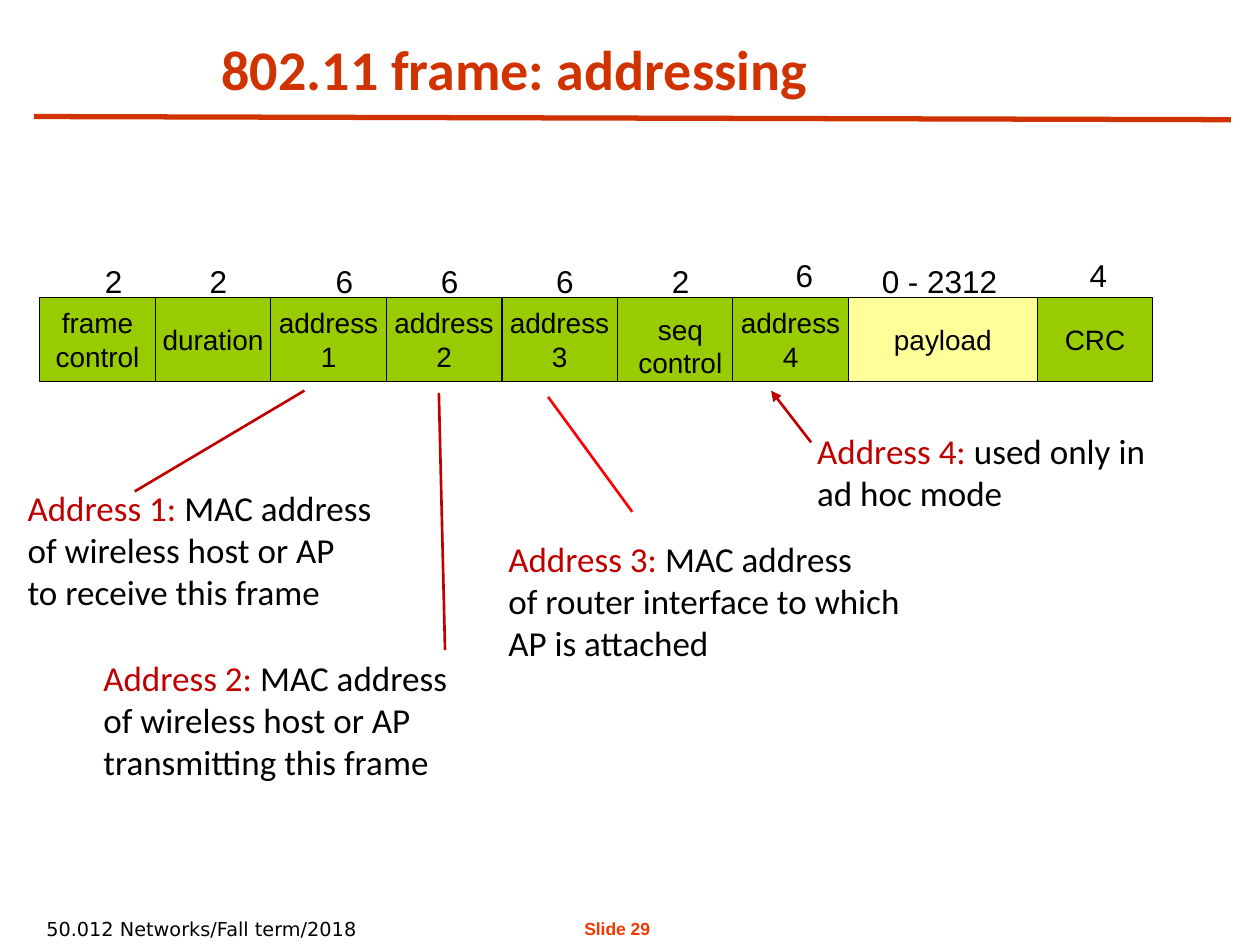
import pptx
import pptx.util
import pptx.dml.color
import pptx.enum.shapes
import pptx.enum.text
import pptx.oxml

Pt = pptx.util.Pt
align = pptx.enum.text.PP_ALIGN
anchor = pptx.enum.text.MSO_ANCHOR
kinds = pptx.enum.shapes


def hue(code):
    return pptx.dml.color.RGBColor.from_string(code)


def write(frame, lines, form, side=align.LEFT, wrap=True, mid=anchor.TOP):
    frame.word_wrap = wrap
    frame.vertical_anchor = mid
    for row, runs in enumerate(lines):
        para = frame.paragraphs[0] if row == 0 else frame.add_paragraph()
        para.alignment = side
        for text, tint in runs:
            run = para.add_run()
            run.text = text
            run.font.color.rgb = hue(tint)
            for key, value in form.items():
                setattr(run.font, key, value)


black, red, rust, green = "000000", "C00000", "D03200", "99CC00"
label = {"name": "Arial", "size": Pt(16)}
count = {"name": "Arial", "size": Pt(18)}
note = {"name": "Calibri", "size": Pt(20)}
head = {"name": "Calibri", "size": Pt(32), "bold": True}
foot = {"name": "DejaVu Sans", "size": Pt(11)}
page = {"name": "Arial", "size": Pt(10), "bold": True}

deck = pptx.Presentation()
deck.slide_width, deck.slide_height = Pt(720), Pt(540)
slide = deck.slides.add_slide(deck.slide_layouts[5])
shapes = slide.shapes

title = shapes.title
place = {"left": 41.8, "top": 12.2, "width": 504.7, "height": 49.7}
for key, value in place.items():
    setattr(title, key, Pt(value))
write(title.text_frame, [[("802.11 frame: addressing", rust)]], head,
      align.CENTER, True, anchor.BOTTOM)

fields = [
    ("frame\ncontrol", 66, green),
    ("duration", 66, green),
    ("address\n1", 66, green),
    ("address\n2", 66, green),
    ("address\n3", 66, green),
    ("", 66, green),
    ("address\n4", 66, green),
    ("payload", 108, "FFFF99"),
    ("CRC", 66, green),
]
left = 22.8
for text, width, tint in fields:
    cell = shapes.add_shape(kinds.MSO_SHAPE.RECTANGLE,
                            Pt(left), Pt(170), Pt(width), Pt(48))
    cell.shadow.inherit = False
    cell.fill.solid()
    cell.fill.fore_color.rgb = hue(tint)
    cell.line.color.rgb = hue(black)
    cell.line.width = Pt(0.75)
    if text:
        write(cell.text_frame, [[(line, black)] for line in text.split("\n")],
              label, align.CENTER, False, anchor.MIDDLE)
    left += width

sizes = [
    ("2", 52.8, 146.4, 25),
    ("2", 112.8, 146.4, 25),
    ("6", 184.8, 146.4, 25),
    ("6", 244.8, 146.4, 25),
    ("6", 310.8, 146.4, 25),
    ("2", 376.8, 146.4, 25),
    ("6", 447.6, 142.6, 25),
    ("0 - 2312", 496.8, 146.4, 86),
    ("4", 615.6, 142.6, 25),
]
for text, left, top, width in sizes:
    box = shapes.add_textbox(Pt(left), Pt(top), Pt(width), Pt(29))
    write(box.text_frame, [[(text, black)]], count)

notes = [
    ("1", ["MAC address", "of wireless host or AP", "to receive this frame"],
     8.7, 274.5, 241, 79),
    ("2", ["MAC address", "of wireless host or AP", "transmitting this frame"],
     52, 371.5, 241, 79),
    ("3", ["MAC address", "of router interface to which AP is attached"],
     283.4, 303.3, 240.5, 104),
    ("4", ["used only in ad hoc mode"], 459.9, 241.9, 205, 55.5),
]
for digit, lines, left, top, width, height in notes:
    box = shapes.add_textbox(Pt(left), Pt(top), Pt(width), Pt(height))
    rows = [[(line, black)] for line in lines]
    rows[0].insert(0, (f"Address {digit}: ", red))
    write(box.text_frame, rows, note)

extras = [
    (["seq", "control"], black, label, align.CENTER, 353.8, 174.8, 70, 46),
    (["50.012 Networks/Fall term/2018"], black, foot, align.LEFT,
     19.4, 520.6, 210, 21),
    (["Slide 29"], "EE3900", page, align.CENTER, 308.2, 521, 89, 19.5),
]
for lines, tint, form, side, left, top, width, height in extras:
    box = shapes.add_textbox(Pt(left), Pt(top), Pt(width), Pt(height))
    write(box.text_frame, [[(line, tint)] for line in lines], form, side)

links = [
    (19.4, 66.6, 703.4, 68.4, rust, 3, False),
    (77, 280.8, 174, 223.2, red, 1.5, False),
    (254.3, 371.5, 250.8, 224.5, red, 1.5, False),
    (361.3, 292.5, 313.2, 226.8, "FF0000", 1.5, False),
    (463.5, 252.8, 440.6, 223.2, red, 1.5, True),
]
space = 'xmlns:a="http://schemas.openxmlformats.org/drawingml/2006/main"'
for left, top, right, base, tint, width, tip in links:
    link = shapes.add_connector(kinds.MSO_CONNECTOR.STRAIGHT,
                                Pt(left), Pt(top), Pt(right), Pt(base))
    link.line.color.rgb = hue(tint)
    link.line.width = Pt(width)
    if tip:
        link.line._get_or_add_ln().append(
            pptx.oxml.parse_xml(f'<a:tailEnd {space} type="triangle"/>'))
    link._element.spPr.append(pptx.oxml.parse_xml(f"<a:effectLst {space}/>"))

deck.save("out.pptx")
